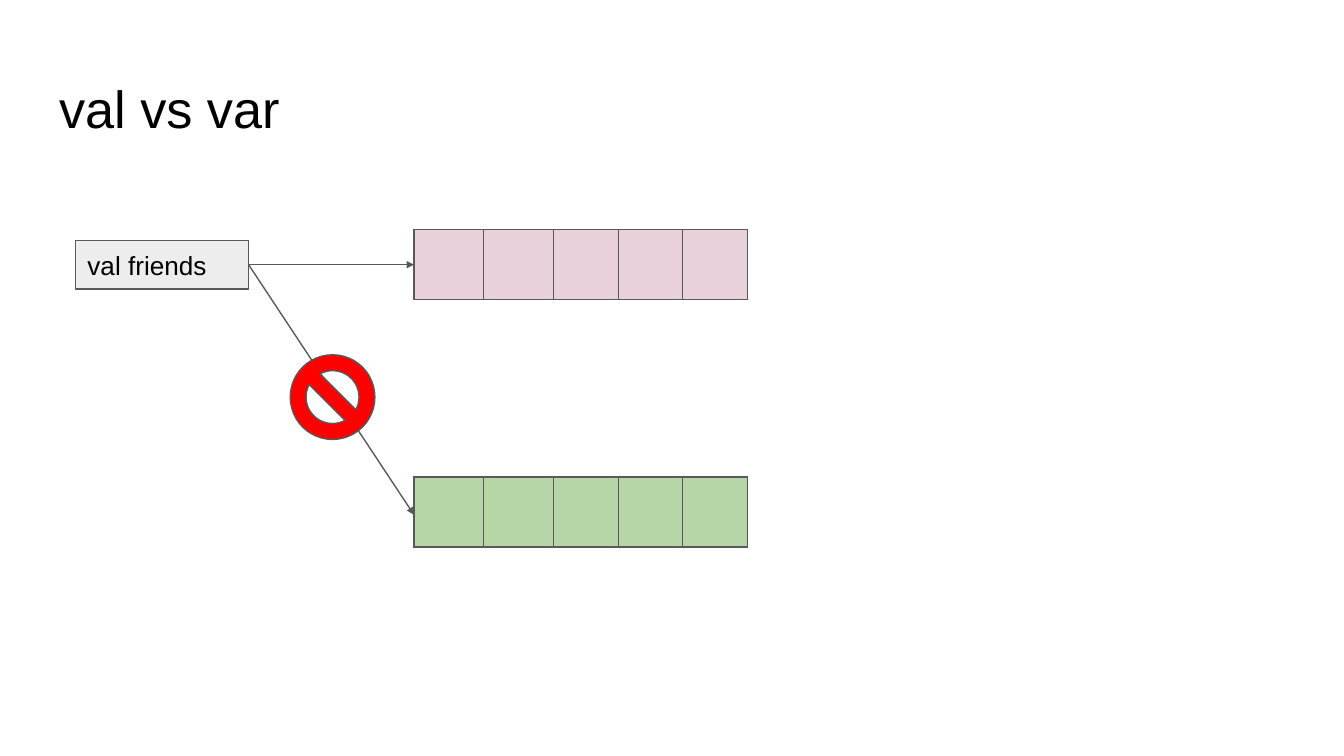
"""Build the "val vs var" slide: a fixed reference may not point elsewhere."""
from dataclasses import dataclass

from pptx import Presentation
from pptx import util as u
from pptx.dml.color import RGBColor
from pptx.enum import shapes, text
from pptx.oxml.ns import qn
from lxml import etree


@dataclass(frozen=True)
class Theme:
    """Colours, font and sizes of the slide."""
    font: str = "Arial"
    title_size: int = 28
    label_size: int = 14
    line_width: float = 0.75
    ink: str = "000000"
    line: str = "595959"
    label: str = "EDEDED"
    pink: str = "E9D1DB"
    green: str = "B6D6A8"
    red: str = "FF0000"


THEME = Theme()
SLIDE_WIDTH = 10
CELL_WIDTHS = (0.52, 0.52, 0.48, 0.48, 0.48)
ROW_HEIGHT = 0.52
ARRAY_LEFT = 3.08


def rgb(value):
    """Return a colour from its hex digits."""
    return RGBColor.from_string(value)


def inches(*values):
    """Return each value as a length."""
    return [u.Inches(v) for v in values]


def style_line(line):
    """Give an outline or connector the common stroke."""
    line.color.rgb = rgb(THEME.line)
    line.width = u.Pt(THEME.line_width)


def write(s, content, size, left, top=0, anchor=text.MSO_ANCHOR.TOP):
    """Write one left-aligned paragraph into a shape."""
    tf = s.text_frame
    tf.word_wrap = True
    tf.vertical_anchor = anchor
    tf.margin_left, tf.margin_top = inches(left, top)
    tf.margin_right = tf.margin_bottom = 0
    p = tf.paragraphs[0]
    p.text = content
    p.alignment = text.PP_ALIGN.LEFT
    p.font.name = THEME.font
    p.font.size = u.Pt(size)
    p.font.color.rgb = rgb(THEME.ink)


def add_title(slide, content):
    """Add the slide heading."""
    s = slide.shapes.add_textbox(*inches(0.42, 0.55, 1.67, 0.49))
    write(s, content, THEME.title_size, left=0.02, top=0.02)


def add_shape(slide, kind, box, fill):
    """Add a filled, outlined preset shape."""
    s = slide.shapes.add_shape(kind, *inches(*box))
    s.shadow.inherit = False
    s.fill.solid()
    s.fill.fore_color.rgb = rgb(fill)
    style_line(s.line)
    return s


def add_borders(cell):
    """Draw all four borders of a table cell."""
    tc_pr = cell._tc.get_or_add_tcPr()
    for side in ("a:lnL", "a:lnR", "a:lnT", "a:lnB"):
        ln = etree.SubElement(tc_pr, qn(side), w=str(u.Pt(THEME.line_width)))
        fill = etree.SubElement(ln, qn("a:solidFill"))
        etree.SubElement(fill, qn("a:srgbClr"), val=THEME.line)


def add_array(slide, top, fill):
    """Add a one-row table of empty coloured cells."""
    box = inches(ARRAY_LEFT, top, sum(CELL_WIDTHS), ROW_HEIGHT)
    table = slide.shapes.add_table(1, len(CELL_WIDTHS), *box).table
    table.first_row = table.horz_banding = False
    for column, width in zip(table.columns, CELL_WIDTHS):
        column.width = u.Inches(width)
    for cell in table.iter_cells():
        add_borders(cell)
        cell.fill.solid()
        cell.fill.fore_color.rgb = rgb(fill)


def add_arrow(slide, source, x, y):
    """Add an arrow from the right side of a shape to a point."""
    end = inches(x, y)
    s = slide.shapes.add_connector(shapes.MSO_CONNECTOR.STRAIGHT, *end, *end)
    s.begin_connect(source, 3)
    style_line(s.line)
    ln = s.line._get_or_add_ln()
    etree.SubElement(ln, qn("a:tailEnd"), type="triangle", w="sm", len="sm")
    etree.SubElement(s._element.spPr, qn("a:effectLst"))


def main():
    """Build and save the slide."""
    prs = Presentation()
    prs.slide_width = u.Inches(SLIDE_WIDTH)
    prs.slide_height = u.Inches(SLIDE_WIDTH * 9 / 16)
    slide = prs.slides.add_slide(prs.slide_layouts[6])

    add_title(slide, "val vs var")
    label = add_shape(slide, shapes.MSO_SHAPE.RECTANGLE,
                      (0.56, 1.79, 1.29, 0.36), THEME.label)
    write(label, "val friends", THEME.label_size, left=0.09,
          anchor=text.MSO_ANCHOR.MIDDLE)
    for top, fill, tip in ((1.71, THEME.pink, 1.97), (3.55, THEME.green, 3.83)):
        add_array(slide, top, fill)
        add_arrow(slide, label, ARRAY_LEFT, tip)
    add_shape(slide, shapes.MSO_SHAPE.NO_SYMBOL,
              (2.16, 2.64, 0.63, 0.63), THEME.red)

    prs.save("out.pptx")


if __name__ == "__main__":
    main()
